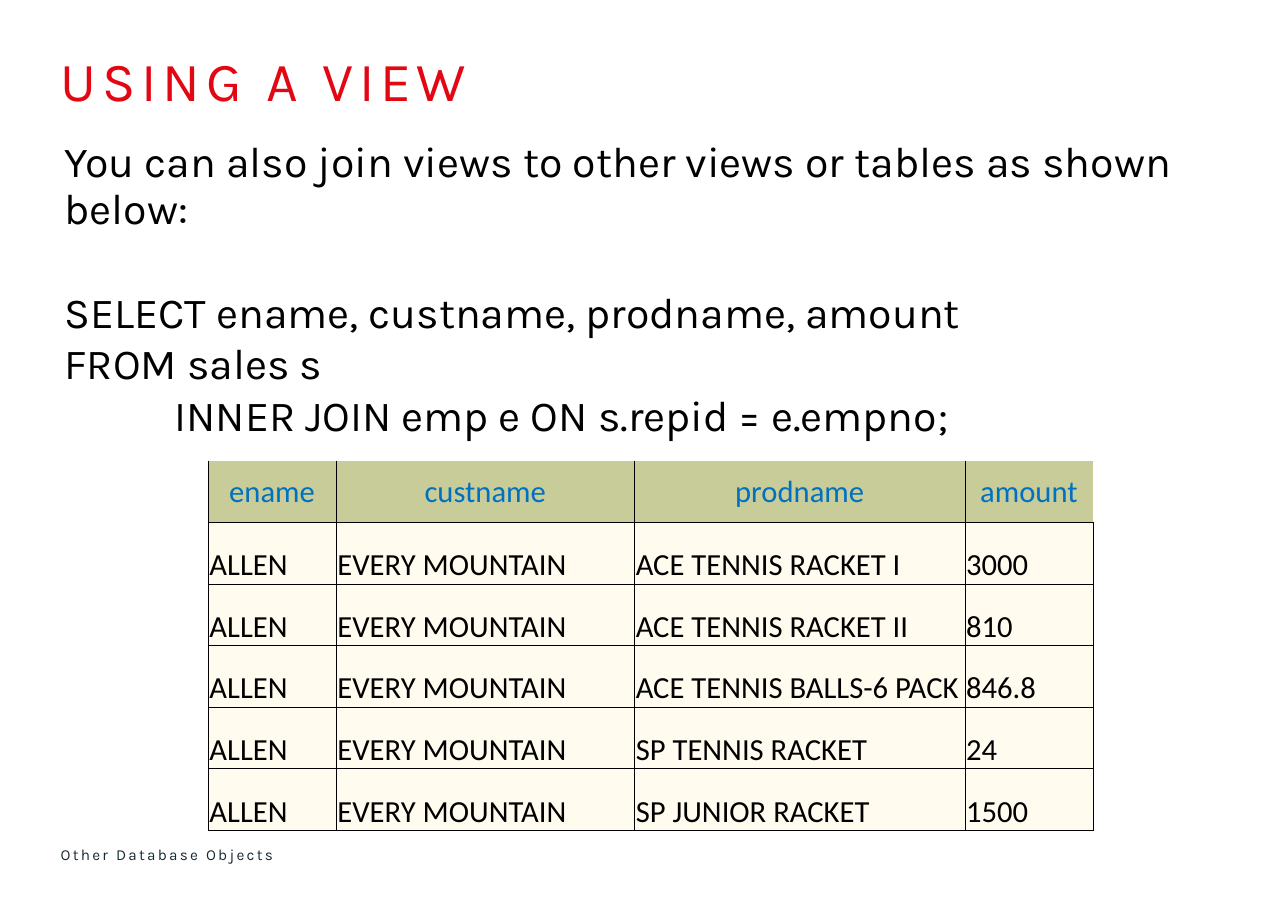
from lxml.etree import SubElement
from pptx import Presentation
from pptx.dml.color import RGBColor
from pptx.enum.shapes import MSO_SHAPE
from pptx.enum.text import MSO_ANCHOR, PP_ALIGN
from pptx.oxml.ns import qn
from pptx.util import Cm, Pt

RED = RGBColor(0xE3, 0x06, 0x13)
BLACK = RGBColor(0, 0, 0)
WHITE = RGBColor(0xFF, 0xFF, 0xFF)
SLATE = RGBColor(0x17, 0x29, 0x34)
BLUE = RGBColor(0x00, 0x70, 0xC0)
OLIVE = RGBColor(0xC8, 0xCC, 0x98)
CREAM = RGBColor(0xFF, 0xFB, 0xEF)


def write(paragraph, text, size, color, font="Karla", align=PP_ALIGN.LEFT,
          spacing=0, line_spacing=1.0, before=0, indent=0):
    paragraph.alignment = align
    paragraph.line_spacing = line_spacing
    paragraph.space_before = Pt(before)
    paragraph._p.get_or_add_pPr().set("marL", str(Cm(indent)))
    run = paragraph.add_run()
    run.text = text
    run.font.name = font
    run.font.size = Pt(size)
    run.font.color.rgb = color
    if spacing:
        run._r.get_or_add_rPr().set("spc", str(round(spacing * 100)))


def add_borders(cell, sides):
    """Draw the named sides in black and leave the others open."""
    properties = cell._tc.get_or_add_tcPr()
    for side in "LRTB":
        line = SubElement(properties, qn(f"a:ln{side}"), w=str(Pt(0.5)))
        if side in sides:
            fill = SubElement(line, qn("a:solidFill"))
            SubElement(fill, qn("a:srgbClr"), val=str(BLACK))
        else:
            SubElement(line, qn("a:noFill"))


presentation = Presentation()
presentation.slide_width = Cm(29.7)
presentation.slide_height = Cm(21)
slide = presentation.slides.add_slide(presentation.slide_layouts[6])

# Title and footer
labels = [
    ("USING A VIEW", 1.07, 27.2, 1.57, MSO_ANCHOR.TOP, 36, RED, 3.8),
    ("Other Database Objects", 19.41, 18.52, 0.56, MSO_ANCHOR.MIDDLE, 10, SLATE, 1.5),
]
for text, top, width, height, anchor, size, color, spacing in labels:
    label = slide.shapes.add_textbox(Cm(1.4), Cm(top), Cm(width), Cm(height))
    frame = label.text_frame
    frame.word_wrap = True
    frame.vertical_anchor = anchor
    frame.margin_left = frame.margin_right = frame.margin_top = frame.margin_bottom = 0
    write(frame.paragraphs[0], text, size, color, spacing=spacing)

# Explanation and query
query = slide.shapes.add_shape(MSO_SHAPE.RECTANGLE, Cm(1.24), Cm(3.12), Cm(27.51), Cm(7.19))
query.shadow.inherit = False
query.fill.solid()
query.fill.fore_color.rgb = WHITE
query.line.fill.background()
frame = query.text_frame
frame.word_wrap = True
frame.vertical_anchor = MSO_ANCHOR.TOP
query_lines = [
    ("You can also join views to other views or tables as shown below:", {"line_spacing": 0.9}),
    ("SELECT ename, custname, prodname, amount", {"before": 34}),
    ("FROM sales s", {}),
    ("INNER JOIN emp e ON s.repid = e.empno;", {"indent": 2.54}),
]
for index, (text, options) in enumerate(query_lines):
    paragraph = frame.add_paragraph() if index else frame.paragraphs[0]
    write(paragraph, text, 28, BLACK, **options)

# Result table
headings = ["ename", "custname", "prodname", "amount"]
sales = [
    ("ACE TENNIS RACKET I", "3000"),
    ("ACE TENNIS RACKET II", "810"),
    ("ACE TENNIS BALLS-6 PACK", "846.8"),
    ("SP TENNIS RACKET", "24"),
    ("SP JUNIOR RACKET", "1500"),
]
rows = [headings] + [["ALLEN", "EVERY MOUNTAIN", *sale] for sale in sales]
column_widths = [2.95, 6.88, 7.62, 2.95]
row_height = 1.42
table = slide.shapes.add_table(len(rows), len(headings), Cm(4.8), Cm(10.62),
                               Cm(sum(column_widths)), Cm(row_height * len(rows))).table
table.first_row = False
table.horz_banding = False
for column, width in zip(table.columns, column_widths):
    column.width = Cm(width)
for row_index, values in enumerate(rows):
    table.rows[row_index].height = Cm(row_height)
    is_header = row_index == 0
    for column_index, value in enumerate(values):
        cell = table.cell(row_index, column_index)
        cell.margin_left = cell.margin_right = cell.margin_top = Cm(0.03)
        cell.margin_bottom = 0
        cell.vertical_anchor = MSO_ANCHOR.MIDDLE if is_header else MSO_ANCHOR.BOTTOM
        is_last = column_index == len(headings) - 1
        header_sides = "LB" if is_last else "LRB"
        add_borders(cell, header_sides if is_header else "LRTB")
        cell.fill.solid()
        cell.fill.fore_color.rgb = OLIVE if is_header else CREAM
        write(cell.text_frame.paragraphs[0], value, 20, BLUE if is_header else BLACK,
              font="Calibri", align=PP_ALIGN.CENTER if is_header else PP_ALIGN.LEFT)

presentation.save("out.pptx")
